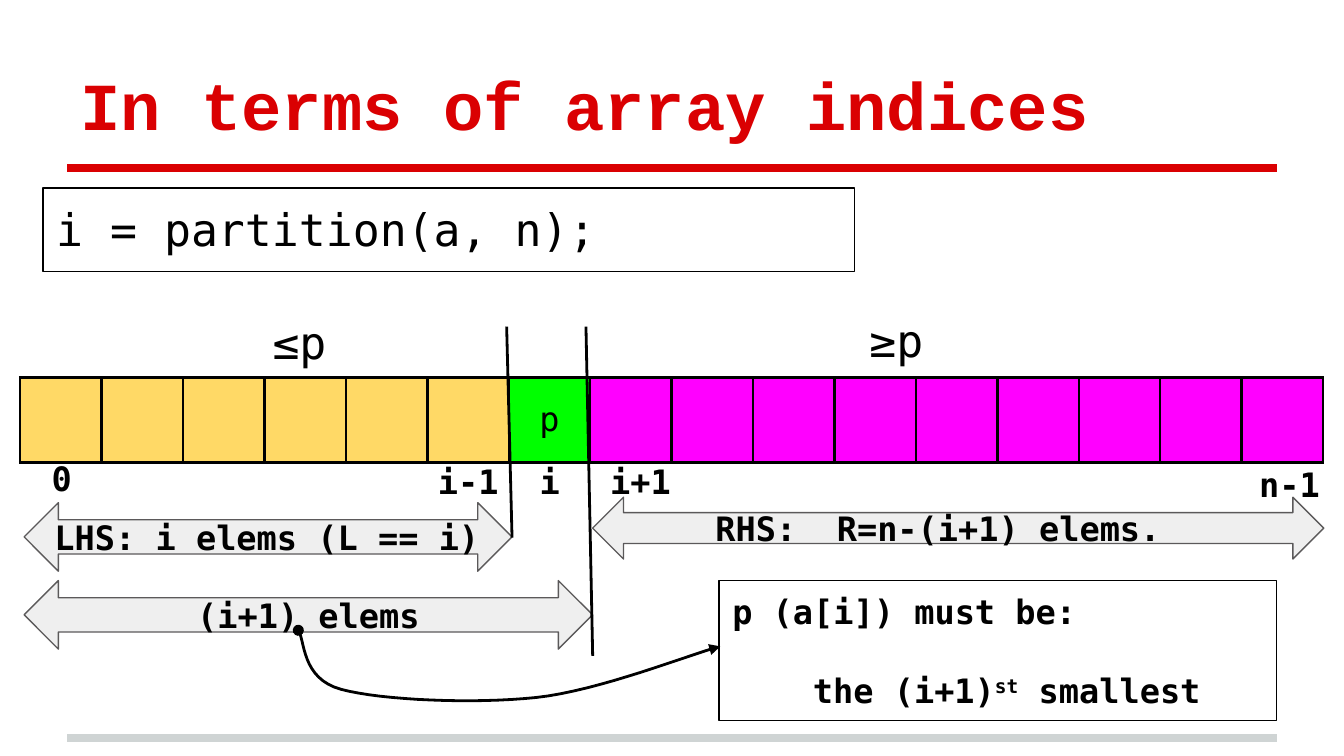
"""Build a slide that shows the index ranges of a partitioned array."""
from dataclasses import dataclass
from typing import NamedTuple

from lxml import etree
from pptx import Presentation
from pptx.dml.color import RGBColor
from pptx.enum.shapes import MSO_CONNECTOR, MSO_SHAPE
from pptx.enum.text import MSO_ANCHOR, PP_ALIGN
from pptx.oxml.ns import qn
from pptx.util import Inches, Pt

LEFT, CENTER = PP_ALIGN.LEFT, PP_ALIGN.CENTER
TOP, MIDDLE, BOTTOM = MSO_ANCHOR.TOP, MSO_ANCHOR.MIDDLE, MSO_ANCHOR.BOTTOM
RECT, ARROW = MSO_SHAPE.RECTANGLE, MSO_SHAPE.LEFT_RIGHT_ARROW
STRAIGHT = MSO_CONNECTOR.STRAIGHT


@dataclass(frozen=True)
class Theme:
    ink: str = "000000"
    red: str = "DA0002"
    rule: str = "CFD4D4"
    low: str = "FFD966"
    pivot: str = "00FF00"
    high: str = "FF00FF"
    span: str = "EFEFEF"
    edge: str = "5B595A"
    head: str = "Courier New"
    mono: str = "DejaVu Sans Mono"
    title: int = 36
    code: int = 24
    body: int = 18
    thin: float = 0.75
    line: float = 1.5
    bar: float = 4


class Box(NamedTuple):
    x: float
    y: float
    w: float
    h: float


class Label(NamedTuple):
    text: str
    box: Box
    size: int
    bold: bool = False
    align: PP_ALIGN = CENTER
    anchor: MSO_ANCHOR = MIDDLE


class Span(NamedTuple):
    text: str
    box: Box
    align: PP_ALIGN = CENTER
    right: float = 0.1


class Rule(NamedTuple):
    start: tuple
    end: tuple
    color: str
    width: float


THEME = Theme()
PAD = 0.1
WIDE = Inches(10)
CELLS, SPLIT = 16, 6
ROW = Box(0.15, 2.81, 9.7, 0.63)
RULES = [
    Rule((0.5, 5.49), (9.5, 5.49), THEME.rule, THEME.bar),
    Rule((0.5, 1.25), (9.5, 1.25), THEME.red, THEME.bar),
]
CUTS = [
    Rule((3.77, 2.43), (3.81, 4), THEME.ink, THEME.line),
    Rule((4.36, 2.43), (4.41, 4.88), THEME.ink, THEME.line),
]
LABELS = [
    Label("≤p", Box(1.93, 2.24, 1.07, 0.52), THEME.code, False, LEFT, TOP),
    Label("≥p", Box(6.37, 2.23, 1.01, 0.52), THEME.code, False, LEFT, TOP),
    Label("0", Box(0.21, 3.4, 0.5, 0.32), THEME.body, True),
    Label("i-1", Box(3.16, 3.42, 0.69, 0.32), THEME.body, True, LEFT),
    Label("i", Box(3.84, 3.42, 0.5, 0.32), THEME.body, True),
    Label("i+1", Box(4.42, 3.42, 0.69, 0.32), THEME.body, True),
    Label("n-1", Box(9.25, 3.44, 0.69, 0.32), THEME.body, True),
]
SPANS = [
    Span("LHS: i elems (L == i)", Box(0.18, 3.74, 3.63, 0.51), LEFT),
    Span("RHS:  R=n-(i+1) elems.", Box(4.41, 3.7, 5.44, 0.46), right=0.4),
    Span("(i+1) elems", Box(0.18, 4.32, 4.23, 0.51)),
]
CURVE = [
    ((2.22, 4.69), (2.27, 4.76), (2.24, 5.05), (2.54, 5.13)),
    ((2.54, 5.13), (2.84, 5.21), (3.52, 5.24), (3.99, 5.19)),
    ((3.99, 5.19), (4.46, 5.14), (5.13, 4.87), (5.36, 4.81)),
]


def tint(code: str) -> RGBColor:
    return RGBColor.from_string(code)


def place(box: Box) -> list:
    return [Inches(side) for side in box]


def write(para, text: str, *, size: int = THEME.body, bold: bool = False,
          color: str = THEME.ink, font: str = THEME.mono,
          align: PP_ALIGN = LEFT, base: int = 0) -> None:
    para.alignment = align
    run = para.add_run()
    run.text = text
    run.font.size, run.font.bold, run.font.name = Pt(size), bold, font
    run.font.color.rgb = tint(color)
    if base:
        run.font._element.set("baseline", str(base * 1000))


def frame(shape, anchor: MSO_ANCHOR, right: float = PAD):
    body = shape.text_frame
    body.word_wrap, body.vertical_anchor = True, anchor
    body.margin_left = body.margin_top = body.margin_bottom = Inches(PAD)
    body.margin_right = Inches(right)
    return body


def label(shapes, item: Label, **style) -> None:
    body = frame(shapes.add_textbox(*place(item.box)), item.anchor)
    write(body.paragraphs[0], item.text, size=item.size, bold=item.bold,
          align=item.align, **style)


def panel(shapes, kind: MSO_SHAPE, box: Box, edge: str, fill: str = ""):
    shape = shapes.add_shape(kind, *place(box))
    shape.shadow.inherit = False
    if fill:
        shape.fill.solid()
        shape.fill.fore_color.rgb = tint(fill)
    else:
        shape.fill.background()
    shape.line.color.rgb, shape.line.width = tint(edge), Pt(THEME.thin)
    return shape


def rule(shapes, item: Rule) -> None:
    ends = [Inches(v) for v in item.start + item.end]
    line = shapes.add_connector(STRAIGHT, *ends)
    line.line.color.rgb, line.line.width = tint(item.color), Pt(item.width)
    etree.SubElement(line._element.spPr, qn("a:effectLst"))


def border(cell) -> None:
    props = cell._tc.get_or_add_tcPr()
    for spot, side in enumerate(("lnL", "lnR", "lnT", "lnB")):
        line = etree.Element(qn(f"a:{side}"), w=str(Pt(THEME.line)))
        fill = etree.SubElement(line, qn("a:solidFill"))
        etree.SubElement(fill, qn("a:srgbClr"), val=THEME.ink)
        props.insert(spot, line)


def array(shapes) -> None:
    table = shapes.add_table(1, CELLS, *place(ROW)).table
    table.first_row = table.horz_banding = False
    fills = [THEME.low] * SPLIT + [THEME.pivot]
    fills += [THEME.high] * (CELLS - len(fills))
    for col, fill in enumerate(fills):
        table.columns[col].width = Inches(ROW.w / CELLS)
        cell = table.cell(0, col)
        cell.fill.solid()
        cell.fill.fore_color.rgb = tint(fill)
        cell.vertical_anchor = MIDDLE
        cell.margin_left = cell.margin_right = Inches(PAD)
        cell.margin_top = cell.margin_bottom = Inches(PAD)
        border(cell)
    write(table.cell(0, SPLIT).text_frame.paragraphs[0], "p", align=CENTER)


def point(curve: tuple, t: float) -> tuple:
    parts = ((1 - t) ** 3, 3 * t * (1 - t) ** 2, 3 * t * t * (1 - t), t ** 3)
    return tuple(Inches(sum(k * p[axis] for k, p in zip(parts, curve)))
                 for axis in (0, 1))


def link(shapes, steps: int = 16) -> None:
    dots = [point(c, n / steps) for c in CURVE for n in range(1, steps + 1)]
    pen = shapes.build_freeform(*point(CURVE[0], 0))
    pen.add_line_segments(dots, close=False)
    shape = pen.convert_to_shape()
    shape.shadow.inherit = False
    shape.fill.background()
    shape.line.color.rgb, shape.line.width = tint(THEME.ink), Pt(THEME.line)
    line = shape.line._get_or_add_ln()
    etree.SubElement(line, qn("a:headEnd"), type="oval")
    etree.SubElement(line, qn("a:tailEnd"), type="triangle")


def note(shapes) -> None:
    shape = panel(shapes, RECT, Box(5.35, 4.32, 4.15, 1.04), THEME.ink)
    body = frame(shape, MIDDLE)
    write(body.paragraphs[0], "p (a[i]) must be:", bold=True)
    para = body.add_paragraph()
    para.space_before = Pt(21)
    para._p.get_or_add_pPr().set("marL", str(Inches(0.6)))
    for text, base in (("the (i+1)", 0), ("st", 30), (" smallest", 0)):
        write(para, text, bold=True, base=base)


def main() -> None:
    deck = Presentation()
    deck.slide_width, deck.slide_height = WIDE, WIDE * 9 // 16
    shapes = deck.slides.add_slide(deck.slide_layouts[6]).shapes
    for item in RULES:
        rule(shapes, item)
    title = Label("In terms of array indices", Box(0.5, 0.23, 9, 0.94),
                  THEME.title, True, LEFT, BOTTOM)
    label(shapes, title, color=THEME.red, font=THEME.head)
    array(shapes)
    for item in LABELS:
        label(shapes, item)
    code = panel(shapes, RECT, Box(0.32, 1.4, 6.04, 0.62), THEME.ink)
    write(frame(code, TOP).paragraphs[0], "i = partition(a, n);",
          size=THEME.code)
    for item in SPANS:
        shape = panel(shapes, ARROW, item.box, THEME.edge, THEME.span)
        write(frame(shape, MIDDLE, item.right).paragraphs[0], item.text,
              bold=True, align=item.align)
    for item in CUTS:
        rule(shapes, item)
    note(shapes)
    link(shapes)
    deck.save("out.pptx")


if __name__ == "__main__":
    main()
